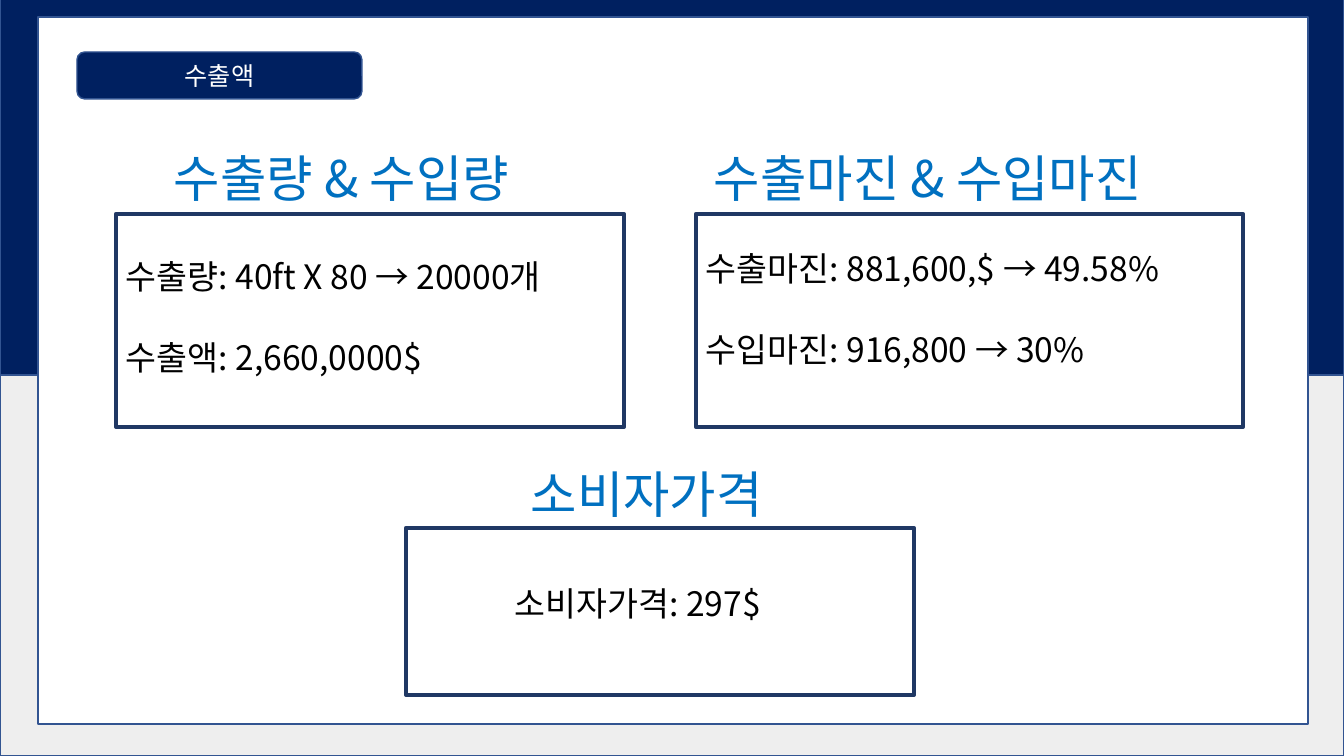
from lxml.etree import SubElement
from pptx import Presentation
from pptx.dml.color import RGBColor
from pptx.enum.shapes import MSO_SHAPE
from pptx.enum.text import MSO_ANCHOR, MSO_AUTO_SIZE, PP_ALIGN
from pptx.oxml.ns import qn
from pptx.util import Pt

TITLE = "수출액"
SECTIONS = [
    {
        "heading": "수출량 & 수입량",
        "lines": ["수출량: 40ft X 80 → 20000개", "수출액: 2,660,0000$"],
        "heading_box": (164, 142, 420, 72),
        "lines_box": (116, 251, 555, 132),
        "frame": (116, 214, 508, 213),
    },
    {
        "heading": "수출마진 & 수입마진",
        "lines": ["수출마진: 881,600,$ → 49.58%", "수입마진: 916,800 → 30%"],
        "heading_box": (704, 142, 508, 72),
        "lines_box": (696, 243, 596, 132),
        "frame": (696, 214, 547, 213),
    },
    {
        "heading": "소비자가격",
        "lines": ["소비자가격: 297$"],
        "heading_box": (521, 458, 334, 72),
        "lines_box": (505, 578, 309, 50),
        "frame": (406, 528, 508, 167),
    },
]
COLORS = {
    "gray": "EEEEEE",
    "navy": "002060",
    "white": "FFFFFF",
    "black": "000000",
    "heading": "0070C0",
    "outline": "325491",
    "frame": "203864",
}
BACKDROPS = [
    ((0, 370, 1344, 386), "gray"),
    ((0, -3, 1344, 378), "navy"),
    ((38, 17, 1270, 707), "white"),
]
BADGE = (77, 52, 285, 47)
FONT = "Noto Sans CJK KR"
LINE_GAP = 29
EMU_PER_PX = 914400 / 100.8


def px(length):
    return round(length * EMU_PER_PX)


def color(name):
    return RGBColor.from_string(COLORS[name])


def apply(target, values):
    for name, value in values.items():
        setattr(target, name, value)


def add_panel(slide, box, fill, line="outline", width=1, kind=MSO_SHAPE.RECTANGLE):
    shape = slide.shapes.add_shape(kind, *map(px, box))
    shape.shadow.inherit = False
    if fill:
        shape.fill.solid()
        shape.fill.fore_color.rgb = color(fill)
    else:
        shape.fill.background()
    shape.line.color.rgb = color(line)
    shape.line.width = Pt(width)


def write(frame, lines, size, font_color, align=PP_ALIGN.LEFT):
    for index, text in enumerate(lines):
        paragraph = frame.add_paragraph() if index else frame.paragraphs[0]
        apply(paragraph, {"alignment": align, "space_before": Pt(LINE_GAP if index else 0)})
        run = paragraph.add_run()
        run.text = text
        apply(run.font, {"size": Pt(size), "name": FONT})
        run.font.color.rgb = color(font_color)
        SubElement(run.font._element, qn("a:ea"), typeface=FONT)


def add_text(slide, box, lines, size, font_color):
    frame = slide.shapes.add_textbox(*map(px, box)).text_frame
    frame.word_wrap = True
    write(frame, lines, size, font_color)


def place_title(slide):
    title = slide.shapes.title
    apply(title, dict(zip(("left", "top", "width", "height"), map(px, BADGE))))
    apply(title.text_frame, {
        "word_wrap": True,
        "auto_size": MSO_AUTO_SIZE.NONE,
        "vertical_anchor": MSO_ANCHOR.MIDDLE,
    })
    write(title.text_frame, [TITLE], 18, "white", PP_ALIGN.CENTER)
    title.element.getparent().append(title.element)


def main():
    presentation = Presentation()
    apply(presentation, {"slide_width": px(1344), "slide_height": px(756)})
    slide = presentation.slides.add_slide(presentation.slide_layouts[5])
    for box, fill in BACKDROPS:
        add_panel(slide, box, fill)
    for section in SECTIONS:
        add_text(slide, section["heading_box"], [section["heading"]], 36, "heading")
        add_text(slide, section["lines_box"], section["lines"], 24, "black")
        add_panel(slide, section["frame"], None, "frame", 3)
    add_panel(slide, BADGE, "navy", kind=MSO_SHAPE.ROUNDED_RECTANGLE)
    place_title(slide)
    presentation.save("out.pptx")


if __name__ == "__main__":
    main()
